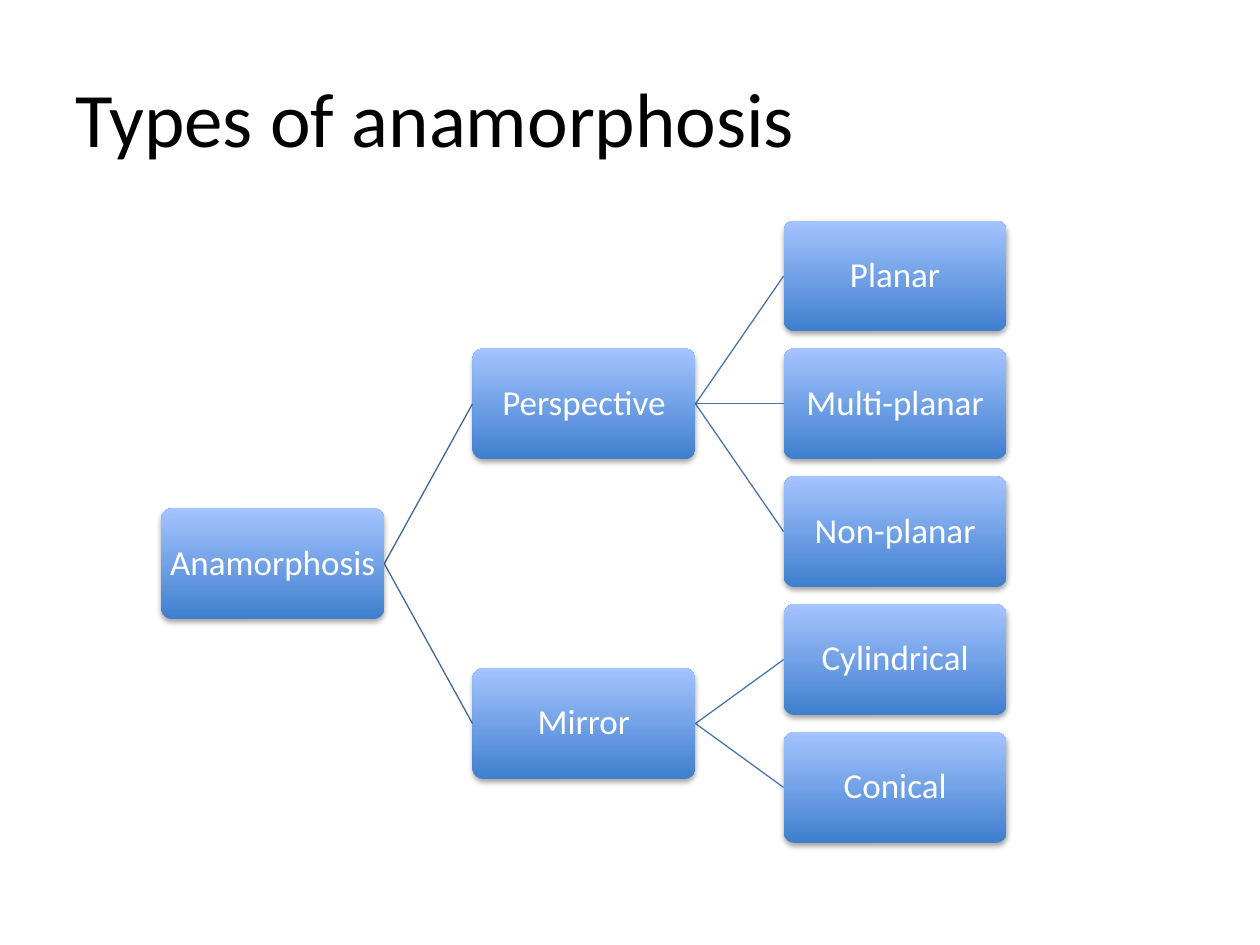
"""Build a slide with a horizontal tree of the types of anamorphosis."""
import dataclasses

import lxml.etree
import pptx
import pptx.dml.color
import pptx.enum.shapes
import pptx.enum.text
import pptx.oxml.ns
import pptx.util

Inches = pptx.util.Inches
Pt = pptx.util.Pt
qn = pptx.oxml.ns.qn


@dataclasses.dataclass(frozen=True)
class Theme:
    font: str = "Calibri"
    title_size: int = 44
    node_size: int = 20
    title_color: str = "000000"
    node_color: str = "FFFFFF"
    gradient: tuple = ("3F7FCE", "A4C4FF")
    shadow_color: str = "000000"
    branch_colors: tuple = ("3F6797", "4875AC")


TREE = ("Anamorphosis", [
    ("Perspective", [("Planar", []), ("Multi-planar", []), ("Non-planar", [])]),
    ("Mirror", [("Cylindrical", []), ("Conical", [])]),
])
NODE_WIDTH, NODE_HEIGHT = 1.77, 0.88
FIRST_COLUMN, COLUMN_PITCH = 1.28, 2.47
FIRST_ROW, LAST_ROW = 1.75, 5.81


def rgb(value):
    return pptx.dml.color.RGBColor.from_string(value)


def write_text(frame, text, *, font, size, color, align=None, spacing=None, margin=0.1):
    frame.word_wrap = True
    frame.vertical_anchor = pptx.enum.text.MSO_ANCHOR.MIDDLE
    frame.margin_left = frame.margin_right = Inches(margin)
    frame.margin_top = frame.margin_bottom = Inches(margin / 2)
    paragraph = frame.paragraphs[0]
    paragraph.alignment = align
    paragraph.line_spacing = spacing
    run = paragraph.add_run()
    run.text = text
    run.font.name = font
    run.font.size = Pt(size)
    run.font.color.rgb = rgb(color)


def count_leaves(node):
    return sum(map(count_leaves, node[1])) or 1


class TreeSlide:
    def __init__(self, slide, theme):
        self.slide = slide
        self.theme = theme

    def add_title(self, text):
        box = self.slide.shapes.add_textbox(Inches(0.5), Inches(0.3), Inches(9), Inches(1.25))
        write_text(box.text_frame, text, font=self.theme.font,
                   size=self.theme.title_size, color=self.theme.title_color)

    def add_node(self, text, left, middle):
        shape = self.slide.shapes.add_shape(
            pptx.enum.shapes.MSO_SHAPE.ROUNDED_RECTANGLE, Inches(left),
            Inches(middle - NODE_HEIGHT / 2), Inches(NODE_WIDTH), Inches(NODE_HEIGHT))
        shape.adjustments[0] = 0.1
        shape.line.fill.background()
        shape.fill.gradient()
        shape.fill.gradient_angle = 90
        for stop, color in zip(shape.fill.gradient_stops, self.theme.gradient):
            stop.color.rgb = rgb(color)
        self.add_shadow(shape)
        write_text(shape.text_frame, text, font=self.theme.font,
                   size=self.theme.node_size, color=self.theme.node_color,
                   align=pptx.enum.text.PP_ALIGN.CENTER, spacing=0.9, margin=0.04)

    def add_shadow(self, shape):
        shape.shadow.inherit = False
        effects = shape._element.spPr.find(qn("a:effectLst"))
        shadow = lxml.etree.SubElement(
            effects, qn("a:outerShdw"), blurRad=str(Pt(3.1)), dist=str(Pt(1.8)),
            dir="5400000", rotWithShape="0")
        color = lxml.etree.SubElement(shadow, qn("a:srgbClr"), val=self.theme.shadow_color)
        lxml.etree.SubElement(color, qn("a:alpha"), val="35000")

    def add_branch(self, start, end, color):
        connector = self.slide.shapes.add_connector(
            pptx.enum.shapes.MSO_CONNECTOR.STRAIGHT, *map(Inches, start + end))
        connector.line.color.rgb = rgb(color)
        connector.line.width = Pt(0.75)
        lxml.etree.SubElement(connector._element.spPr, qn("a:effectLst"))

    def add_tree(self, node, row_pitch, depth=0, row=0):
        text, children = node
        left = FIRST_COLUMN + depth * COLUMN_PITCH
        middles = []
        for child in children:
            middles.append(self.add_tree(child, row_pitch, depth + 1, row))
            row += count_leaves(child)
        if middles:
            middle = (middles[0] + middles[-1]) / 2
        else:
            middle = FIRST_ROW + row * row_pitch + NODE_HEIGHT / 2
        for child_middle in middles:
            self.add_branch((left + NODE_WIDTH, middle), (left + COLUMN_PITCH, child_middle),
                            self.theme.branch_colors[depth])
        self.add_node(text, left, middle)
        return middle


def main():
    presentation = pptx.Presentation()
    presentation.slide_width = Inches(10)
    presentation.slide_height = Inches(7.5)
    slide = presentation.slides.add_slide(presentation.slide_layouts[6])
    tree_slide = TreeSlide(slide, Theme())
    tree_slide.add_title("Types of anamorphosis")
    tree_slide.add_tree(TREE, (LAST_ROW - FIRST_ROW) / (count_leaves(TREE) - 1))
    presentation.save("out.pptx")


if __name__ == "__main__":
    main()
